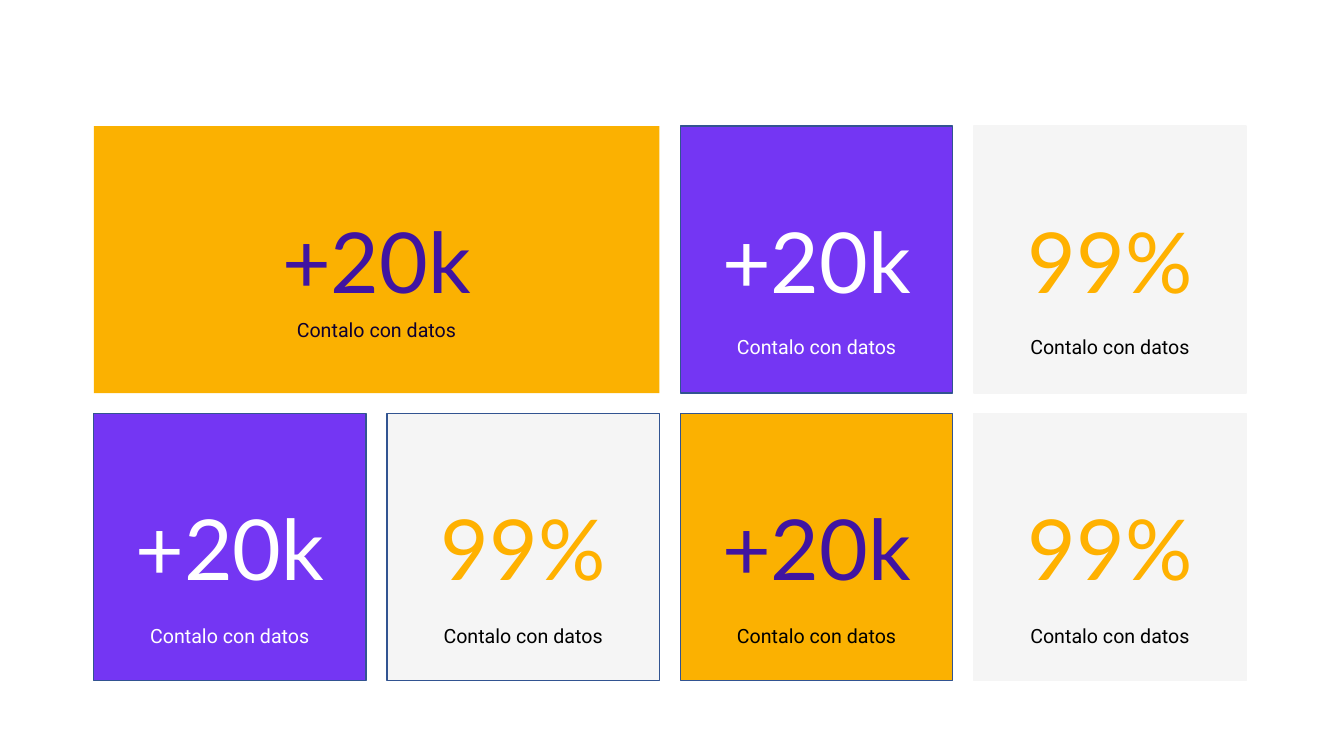
import pptx
import pptx.dml.color
import pptx.enum.shapes
import pptx.enum.text
import pptx.util
from pptx.util import Inches

COLORS = {
    "amber": "FBB101",
    "violet": "7436F3",
    "gray": "F5F5F5",
    "blue": "325491",
    "indigo": "4014A1",
    "gold": "FFB100",
    "white": "FFFFFF",
    "black": "000000",
    "ink": "0F002F",
}

# Card grid, in inches
LEFT, TOP = 0.93, 1.25
CARD_WIDTH, CARD_HEIGHT = 2.7, 2.65
COLUMN_STEP, ROW_STEP = 2.91, 2.85
CAPTION_HEIGHT = 0.34
CAPTION = "Contalo con datos"

# column, row, columns spanned, figure, fill, border, figure color, caption color, caption top
CARDS = [
    (0, 0, 2, "+20k", "amber", None, "indigo", "ink", 3.1),
    (2, 0, 1, "+20k", "violet", "blue", "white", "white", 3.27),
    (3, 0, 1, "99%", "gray", "gray", "gold", "black", 3.27),
    (0, 1, 1, "+20k", "violet", "blue", "white", "white", 6.14),
    (1, 1, 1, "99%", "gray", "blue", "gold", "black", 6.14),
    (2, 1, 1, "+20k", "amber", "blue", "indigo", "black", 6.14),
    (3, 1, 1, "99%", "gray", "gray", "gold", "black", 6.14),
]


def rgb(color):
    return pptx.dml.color.RGBColor.from_string(COLORS[color])


def write_text(frame, text, *, font, size, color, anchor):
    frame.word_wrap = True
    frame.vertical_anchor = anchor
    paragraph = frame.paragraphs[0]
    paragraph.alignment = pptx.enum.text.PP_ALIGN.CENTER
    run = paragraph.add_run()
    run.text = text
    run.font.name = font
    run.font.size = pptx.util.Pt(size)
    run.font.color.rgb = rgb(color)


def add_card(slide, left, top, width, figure, fill, border, figure_color):
    card = slide.shapes.add_shape(
        pptx.enum.shapes.MSO_SHAPE.RECTANGLE,
        Inches(left), Inches(top), Inches(width), Inches(CARD_HEIGHT))
    card.shadow.inherit = False
    card.fill.solid()
    card.fill.fore_color.rgb = rgb(fill)
    if border:
        card.line.color.rgb = rgb(border)
        card.line.width = pptx.util.Pt(1)
    else:
        card.line.fill.background()
    write_text(card.text_frame, figure, font="Lato", size=60, color=figure_color,
               anchor=pptx.enum.text.MSO_ANCHOR.MIDDLE)


def add_caption(slide, left, top, color):
    caption = slide.shapes.add_textbox(
        Inches(left), Inches(top), Inches(CARD_WIDTH), Inches(CAPTION_HEIGHT))
    write_text(caption.text_frame, CAPTION, font="Roboto", size=14, color=color,
               anchor=pptx.enum.text.MSO_ANCHOR.TOP)
    caption.text_frame.auto_size = pptx.enum.text.MSO_AUTO_SIZE.SHAPE_TO_FIT_TEXT


def main():
    deck = pptx.Presentation()
    deck.slide_width, deck.slide_height = Inches(13.33), Inches(7.5)
    slide = deck.slides.add_slide(deck.slide_layouts[6])

    # Each card with its figure, and the caption centered over it
    for column, row, span, figure, fill, border, figure_color, caption_color, caption_top in CARDS:
        left = LEFT + column * COLUMN_STEP
        width = CARD_WIDTH + (span - 1) * COLUMN_STEP
        add_card(slide, left, TOP + row * ROW_STEP, width, figure, fill, border, figure_color)
        add_caption(slide, left + (width - CARD_WIDTH) / 2, caption_top, caption_color)

    deck.save("out.pptx")


if __name__ == "__main__":
    main()
